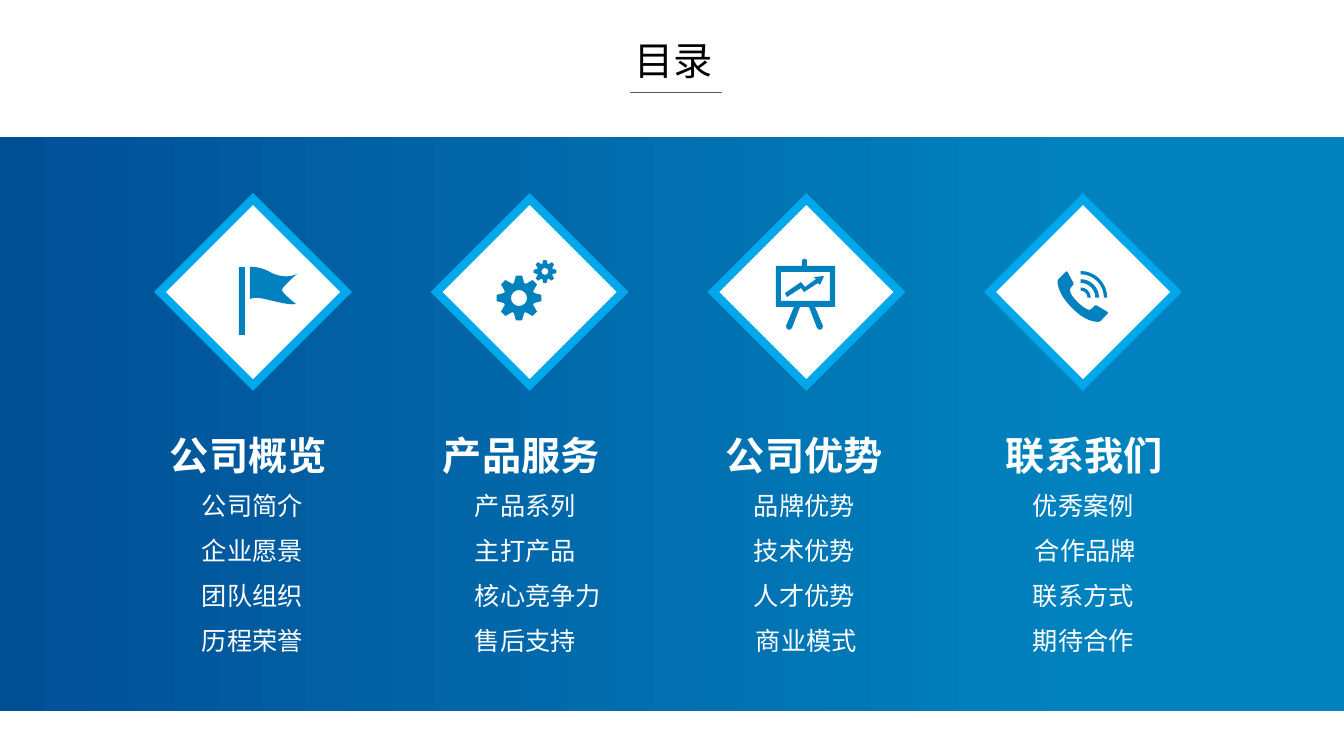
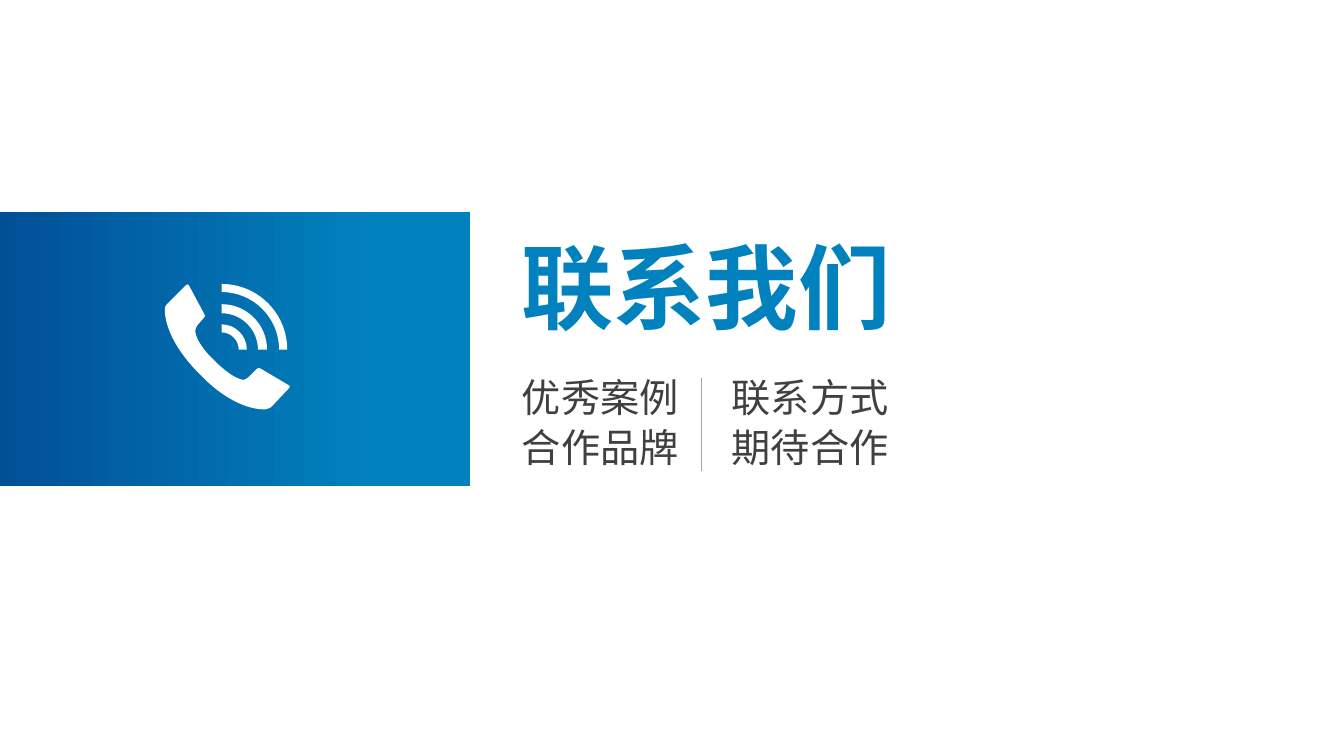
from math import cos, radians, sin, tan

from lxml import etree
from pptx import Presentation
from pptx.dml.color import RGBColor
from pptx.enum.shapes import MSO_CONNECTOR, MSO_SHAPE
from pptx.enum.text import MSO_ANCHOR, MSO_AUTO_SIZE, PP_ALIGN
from pptx.oxml.ns import qn
from pptx.util import Pt

RECTANGLE, DIAMOND = MSO_SHAPE.RECTANGLE, MSO_SHAPE.DIAMOND
STRAIGHT = MSO_CONNECTOR.STRAIGHT
LEFT, TOP = PP_ALIGN.LEFT, MSO_ANCHOR.TOP
FIT_SHAPE = MSO_AUTO_SIZE.SHAPE_TO_FIT_TEXT

# Shared style; lengths are px, 1344 x 756 to a slide
PX = 12192000 / 1344
FONT = "Noto Sans CJK SC"
COLORS = {
    "deep": "015096", "blue": "0182BF", "bright": "00A8EB", "white": "FFFFFF",
    "black": "000000", "text": "404040", "rule": "595959", "divider": "A6A6A6",
}

# Content: heading, its left and width, then items with left and width
CONTENTS_TITLE = "目录"
SECTIONS = [
    ("公司概览", 160, 185, [("公司简介", 192, 121), ("企业愿景", 192, 121),
                        ("团队组织", 192, 121), ("历程荣誉", 192, 121)]),
    ("产品服务", 433, 185, [("产品系列", 465, 121), ("主打产品", 465, 121),
                        ("核心竞争力", 465, 159), ("售后支持", 465, 125)]),
    ("公司优势", 716, 191, [("品牌优势", 744, 121), ("技术优势", 744, 149),
                        ("人才优势", 744, 121), ("商业模式", 746, 151)]),
    ("联系我们", 996, 185, [("优秀案例", 1023, 121), ("合作品牌", 1025, 153),
                        ("联系方式", 1023, 121), ("期待合作", 1023, 131)]),
]
CONTACT_WIDTHS = [262, 346, 242, 190]

# Icon outlines: two numbers are a corner, six are a Bezier curve
FLAG_POLE = (239, 267, 6, 68)
FLAG = [
    (282, 290), (282, 287, 297, 274, 297, 274), (289, 278, 278, 277, 268, 271),
    (258, 266, 250, 267, 250, 267), (250, 299), (251, 298, 253, 298, 259, 298),
    (268, 299, 288, 306, 296, 304), (296, 304, 282, 293, 282, 290),
]
GEARS = [(519, 298, 22.5, 8), (545, 271.5, 11.5, 3.5)]  # centre, radius, hole
BOARD = [
    (835, 266), (807, 266), (807, 261), (807, 258, 802, 258, 802, 261),
    (802, 266), (776, 266), (776, 307), (794, 307), (786, 326),
    (786, 330, 790, 331, 792, 328), (800, 307), (809, 307), (817, 328),
    (819, 331, 823, 330, 823, 326), (815, 307), (835, 307),
]
BOARD_HOLE = [(830, 301), (781, 301), (781, 272), (830, 272)]
BOARD_ARROW = [
    (787, 297), (801, 288), (804, 292), (818, 283), (820, 285), (824, 276),
    (814, 277), (816, 279), (805, 287), (801, 282), (785, 293),
]
HANDSET = [
    (126, 100), (99, 84), (98, 83, 96, 83, 95, 84), (87, 92),
    (86, 93, 83, 95, 82, 95), (82, 95, 72, 95, 53, 76),
    (33, 57, 34, 46, 34, 46), (34, 45, 35, 42, 36, 41), (42, 34),
    (44, 33, 44, 31, 43, 30), (28, 2), (28, 0, 26, 0, 25, 1), (6, 20),
    (5, 20, 4, 23, 4, 24), (4, 24, 0, 51, 39, 90),
    (76, 128, 104, 124, 104, 124), (105, 124, 107, 123, 109, 122),
    (127, 103), (128, 102, 128, 100, 126, 100),
]
WAVE_CENTER = (60, 65)
WAVES = [(17, 25), (57, 65), (36, 45)]  # inner and outer radius


def emu(*lengths):
    return [round(length * PX) for length in lengths]


def rgb(color):
    return RGBColor.from_string(COLORS[color])


def paint(shape, color):
    shape.shadow.inherit = False
    shape.line.fill.background()
    shape.fill.solid()
    shape.fill.fore_color.rgb = rgb(color)


def add_block(slide, kind, box, color):
    shape = slide.shapes.add_shape(kind, *emu(*box))
    paint(shape, color)
    return shape


def add_band(slide, box):
    fill = add_block(slide, RECTANGLE, box, "blue").fill
    fill.gradient()
    fill.gradient_angle = 0
    for stop, color, position in zip(fill.gradient_stops, ("deep", "blue"), (0, 0.81)):
        stop.color.rgb = rgb(color)
        stop.position = position


def add_rule(slide, ends, color):
    rule = slide.shapes.add_connector(STRAIGHT, *emu(*ends))
    rule.line.color.rgb = rgb(color)
    rule.line.width = Pt(0.5)
    etree.SubElement(rule._element.spPr, qn("a:effectLst"))


def write(shape, box, text, size, color, bold=False):
    shape.left, shape.top, shape.width, shape.height = emu(*box)
    frame = shape.text_frame
    frame.text = text
    frame.word_wrap = True
    frame.auto_size = FIT_SHAPE
    frame.vertical_anchor = TOP
    paragraph = frame.paragraphs[0]
    paragraph.alignment = LEFT
    font = paragraph.runs[0].font
    font.name, font.size, font.bold = FONT, Pt(size), bold
    font.color.rgb = rgb(color)
    etree.SubElement(font._element, qn("a:ea"), typeface=FONT)


def add_text(slide, box, *style):
    write(slide.shapes.add_textbox(*emu(*box)), box, *style)


# Outlines
def polar(center_x, center_y, radius, degrees):
    angle = radians(degrees)
    return center_x + radius * cos(angle), center_y + radius * sin(angle)


def arc(x, y, radius, start, end):
    """Return the Bezier curve from one angle to the other."""
    reach = 4 / 3 * tan(radians(end - start) / 4)
    first, last = polar(x, y, radius, start), polar(x, y, radius, end)
    return (first[0] - reach * (first[1] - y), first[1] + reach * (first[0] - x),
            last[0] + reach * (last[1] - y), last[1] - reach * (last[0] - x), *last)


def add_outline(slide, contours, color):
    builder, sizes = None, []
    for contour in contours:
        points = [emu(*segment[at:at + 2])
                  for segment in contour for at in range(0, len(segment), 2)]
        if builder is None:
            builder = slide.shapes.build_freeform(*points[0])
        else:
            builder.move_to(*points[0])
        builder.add_line_segments(points[1:], close=True)
        sizes += [len(segment) // 2 for segment in contour[1:]]
    shape = builder.convert_to_shape()
    paint(shape, color)
    # Join the three points of each curve into one Bezier segment
    lines = iter(list(shape._element.iter(qn("a:lnTo"))))
    for size in sizes:
        segment = next(lines)
        if size == 3:
            segment.tag = qn("a:cubicBezTo")
            for _ in range(2):
                extra = next(lines)
                segment.append(extra[0])
                extra.getparent().remove(extra)


# Icons
def add_flag(slide):
    add_outline(slide, [FLAG], "blue")
    add_block(slide, RECTANGLE, FLAG_POLE, "blue")


def add_gears(slide):
    tooth = [(0.7, -19), (1, -8), (1, 8), (0.7, 19)]  # share of radius, degrees
    for x, y, radius, hole in GEARS:
        rim = [polar(x, y, radius * share, 45 * number + degrees)
               for number in range(8) for share, degrees in tooth]
        bore = [polar(x, y, hole, 0)]
        bore += [arc(x, y, hole, start, start - 90) for start in (0, -90, -180, -270)]
        add_outline(slide, [rim, bore], "blue")


def add_board(slide):
    add_outline(slide, [BOARD, BOARD_HOLE], "blue")
    add_outline(slide, [BOARD_ARROW], "blue")


def add_phone(slide, left, top, scale, color):
    waves = [[polar(*WAVE_CENTER, inner, 0), polar(*WAVE_CENTER, outer, 0),
              arc(*WAVE_CENTER, outer, 0, -90), polar(*WAVE_CENTER, inner, -90),
              arc(*WAVE_CENTER, inner, -90, 0)] for inner, outer in WAVES]
    for outline in [HANDSET] + waves:
        placed = [tuple((left, top)[at % 2] + value * scale
                        for at, value in enumerate(segment)) for segment in outline]
        add_outline(slide, [placed], color)


# Slides
def add_titled_slide(presentation, box, *style):
    slide = presentation.slides.add_slide(presentation.slide_layouts[5])
    write(slide.shapes.title, box, *style)
    return slide


def build_contents(presentation):
    slide = add_titled_slide(presentation, (624, 31, 111, 57), CONTENTS_TITLE, 28, "black")
    add_band(slide, (0, 137, 1344, 574))
    add_rule(slide, (630, 92, 722, 92), "rule")
    for column, (heading, heading_left, heading_width, items) in enumerate(SECTIONS):
        for inset, color in ((0, "bright"), (12, "white")):
            left, size = 154 + column * 830 / 3 + inset, 198 - 2 * inset
            add_block(slide, DIAMOND, (left, 193 + inset, size, size), color)
        add_text(slide, (heading_left, 426, heading_width, 57), heading, 28, "white", True)
        for row, (item, left, width) in enumerate(items):
            add_text(slide, (left, 485 + 45 * row, width, 40), item, 18, "white")
    add_flag(slide)
    add_gears(slide)
    add_board(slide)
    add_phone(slide, 1056, 271, 0.41, "blue")


def build_contact(presentation):
    heading, _, _, items = SECTIONS[-1]
    slide = add_titled_slide(presentation, (511, 225, 412, 122), heading, 66, "blue", True)
    add_band(slide, (0, 212, 470, 274))
    for index, ((item, _, _), width) in enumerate(zip(items, CONTACT_WIDTHS)):
        column, row = divmod(index, 2)
        box = (512 + 210 * column, 368 + 50 * row, width, 57)
        add_text(slide, box, item, 28, "text")
    add_rule(slide, (701, 378, 701, 471), "divider")
    add_phone(slide, 161, 284, 1.01, "white")


def main():
    presentation = Presentation()
    presentation.slide_width, presentation.slide_height = emu(1344, 756)
    build_contents(presentation)
    build_contact(presentation)
    presentation.save("out.pptx")


if __name__ == "__main__":
    main()
